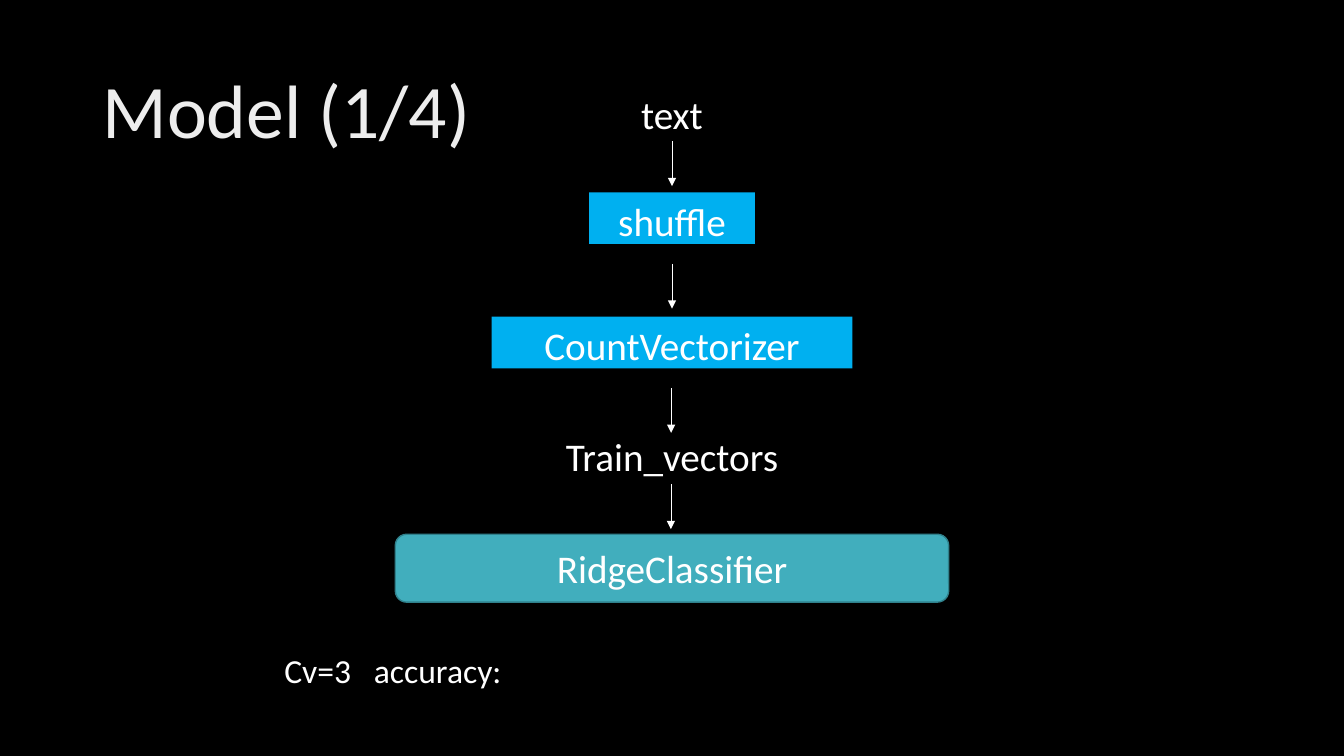
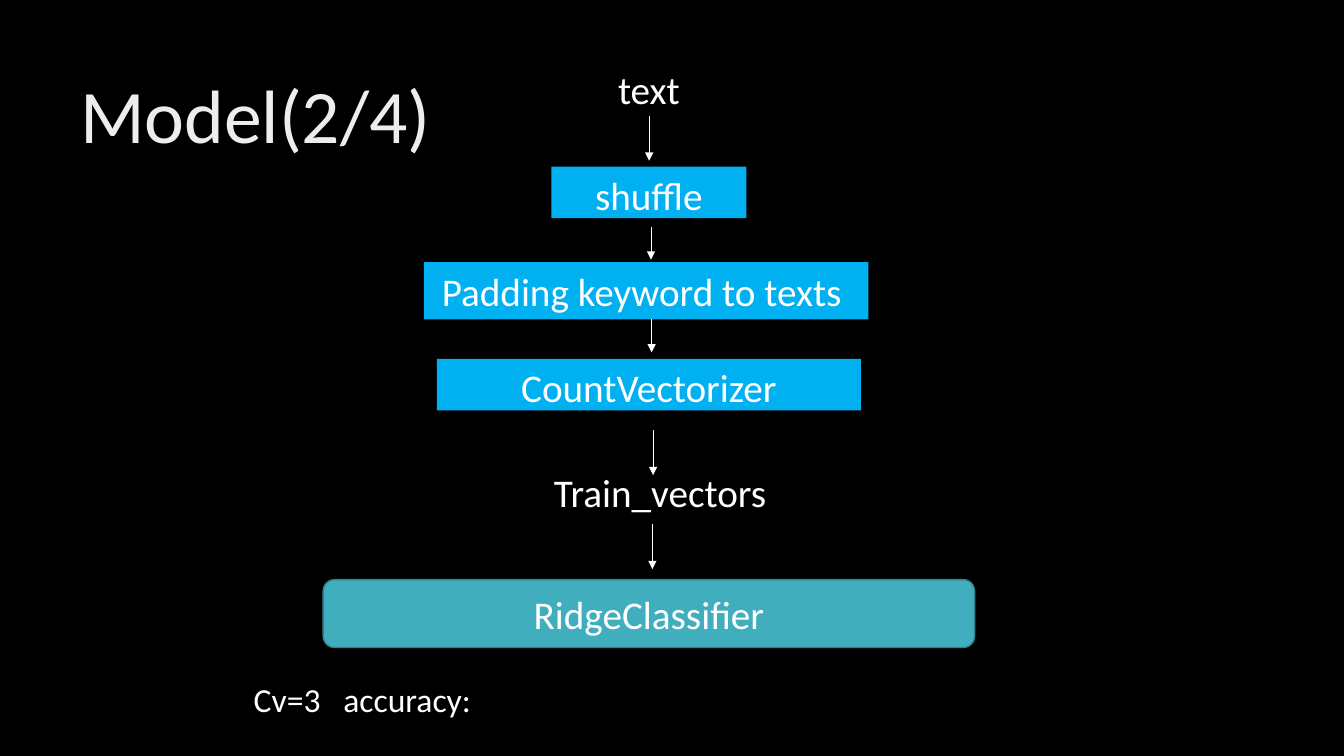
from dataclasses import dataclass

from lxml import etree
from pptx import Presentation
from pptx.dml.color import RGBColor
from pptx.enum.shapes import MSO_CONNECTOR, MSO_SHAPE
from pptx.enum.text import MSO_ANCHOR, MSO_AUTO_SIZE, PP_ALIGN
from pptx.oxml import parse_xml
from pptx.oxml.ns import nsdecls, qn
from pptx.util import Pt

RECTANGLE = MSO_SHAPE.RECTANGLE
ROUNDED = MSO_SHAPE.ROUNDED_RECTANGLE
STRAIGHT = MSO_CONNECTOR.STRAIGHT
TOP, MIDDLE = MSO_ANCHOR.TOP, MSO_ANCHOR.MIDDLE
LEFT, CENTER = PP_ALIGN.LEFT, PP_ALIGN.CENTER
NO_AUTOFIT = MSO_AUTO_SIZE.NONE


@dataclass(frozen=True)
class Theme:
    font: str = "Calibri"
    title_size: int = 54
    step_size: int = 28
    note_size: int = 24
    background: str = "000000"
    text: str = "FFFFFF"
    process: str = "00B0F0"
    model: str = "41AEBD"
    model_line: str = "30818C"
    title_stops: tuple = ((0, "BFBFBF"), (28, "EDEDED"), (100, "FFFFFF"))
    title_angle: int = 80


THEME = Theme()
SLIDE_WIDTH, SLIDE_HEIGHT = 960, 540
TITLE_SIZE = (828, 104.4)
ROW_HEIGHT = 36.9
MODEL_HEIGHT = 48.5
NOTE_HEIGHT = 36

# Steps: kind, text, centre x, top, width, height. Arrows: x, top, length.
SLIDES = [
    {
        "title": ("Model (1/4)", 66, 29),
        "steps": [
            ("model", "RidgeClassifier", 480, 381.6, 395.3, MODEL_HEIGHT),
            ("process", "shuffle", 480, 137.4, 118.4, ROW_HEIGHT),
            ("data", "text", 480, 61.2, 203, ROW_HEIGHT),
            ("process", "CountVectorizer", 480, 226.2, 257.6, ROW_HEIGHT),
            ("data", "Train_vectors", 480, 305.3, 231, ROW_HEIGHT),
        ],
        "arrows": [(480, 101, 32), (480, 188.5, 32), (479.4, 277.2, 32),
                   (479.2, 346, 32)],
        "note": ("Cv=3   accuracy:", 196, 461, 482),
    },
    {
        "title": ("Model(2/4)", 50, 33.1),
        "steps": [
            ("model", "RidgeClassifier", 463.5, 414, 465.3, MODEL_HEIGHT),
            ("process", "shuffle", 463.5, 119, 139.4, ROW_HEIGHT),
            ("data", "text", 463.5, 43.2, 239, ROW_HEIGHT),
            ("process", "CountVectorizer", 463.5, 256.3, 303, ROW_HEIGHT),
            ("data", "Train_vectors", 471.5, 331.2, 272, ROW_HEIGHT),
            ("process", "Padding keyword to texts ", 461.5, 187.2, 317.5, 41),
        ],
        "arrows": [(463.7, 82.8, 32), (465, 162, 23.5), (465.5, 228.2, 23.5),
                   (466.5, 307.4, 32), (466, 374.6, 32)],
        "note": ("Cv=3   accuracy:", 174.2, 481.7, 200),
    },
]


def color(value):
    return RGBColor.from_string(value)


def write(shape, text, size, align=LEFT, anchor=TOP, wrap=True):
    frame = shape.text_frame
    frame.text = text
    frame.auto_size = NO_AUTOFIT
    frame.word_wrap = wrap
    frame.vertical_anchor = anchor
    para = frame.paragraphs[0]
    para.alignment = align
    span = para.runs[0]
    span.font.name = THEME.font
    span.font.size = Pt(size)
    span.font.color.rgb = color(THEME.text)
    return para


def add_title(page, text, left, top):
    title = page.shapes.title
    width, height = TITLE_SIZE
    title.left, title.top = Pt(left), Pt(top)
    title.width, title.height = Pt(width), Pt(height)
    para = write(title, text, THEME.title_size, anchor=MIDDLE)
    para.line_spacing = 0.9
    stops = "".join(
        f'<a:gs pos="{position * 1000}"><a:srgbClr val="{value}"/></a:gs>'
        for position, value in THEME.title_stops)
    gradient = parse_xml(
        f'<a:gradFill {nsdecls("a")}><a:gsLst>{stops}</a:gsLst>'
        f'<a:lin ang="{THEME.title_angle * 60000}" scaled="0"/></a:gradFill>')
    properties = para.runs[0].font.fill._xPr
    properties.replace(properties.find(qn("a:solidFill")), gradient)


def add_step(page, kind, text, center, top, width, height):
    place = Pt(center - width / 2), Pt(top), Pt(width), Pt(height)
    if kind == "data":
        box = page.shapes.add_textbox(*place)
        write(box, text, THEME.step_size, CENTER)
        return
    is_model = kind == "model"
    box = page.shapes.add_shape(ROUNDED if is_model else RECTANGLE, *place)
    box.shadow.inherit = False
    box.fill.solid()
    box.fill.fore_color.rgb = color(THEME.model if is_model else THEME.process)
    if is_model:
        box.line.color.rgb = color(THEME.model_line)
        box.line.width = Pt(1)
    else:
        box.line.fill.background()
    write(box, text, THEME.step_size, CENTER,
          anchor=MIDDLE if is_model else TOP, wrap=is_model)


def add_arrow(page, x, top, length):
    arrow = page.shapes.add_connector(
        STRAIGHT, Pt(x), Pt(top), Pt(x), Pt(top + length))
    arrow.line.color.rgb = color(THEME.text)
    arrow.line.width = Pt(0.5)
    etree.SubElement(arrow.line._get_or_add_ln(), qn("a:tailEnd"),
                     type="triangle")
    etree.SubElement(arrow._element.spPr, qn("a:effectLst"))


def add_note(page, text, left, top, width):
    box = page.shapes.add_textbox(Pt(left), Pt(top), Pt(width), Pt(NOTE_HEIGHT))
    write(box, text, THEME.note_size)


def main():
    deck = Presentation()
    deck.slide_width, deck.slide_height = Pt(SLIDE_WIDTH), Pt(SLIDE_HEIGHT)
    backdrop = deck.slide_master.background.fill
    backdrop.solid()
    backdrop.fore_color.rgb = color(THEME.background)
    title_only = deck.slide_layouts[5]
    for content in SLIDES:
        page = deck.slides.add_slide(title_only)
        add_title(page, *content["title"])
        for step in content["steps"]:
            add_step(page, *step)
        for arrow in content["arrows"]:
            add_arrow(page, *arrow)
        add_note(page, *content["note"])
    deck.save("out.pptx")


if __name__ == "__main__":
    main()
